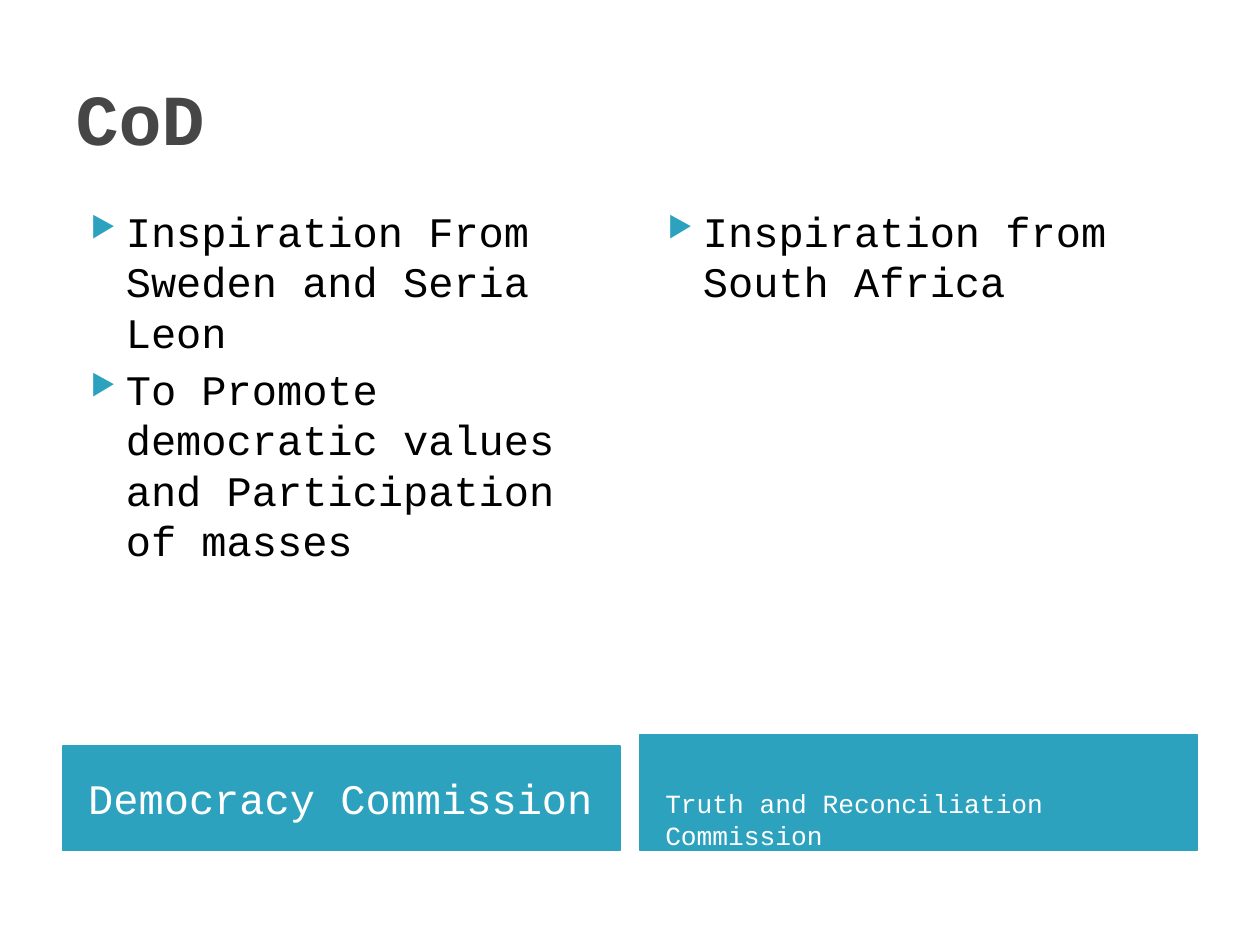
import pptx
import pptx.util
import pptx.dml.color
import pptx.enum.shapes
import pptx.enum.text
from lxml import etree

Inches, Pt = pptx.util.Inches, pptx.util.Pt
ANCHOR = pptx.enum.text.MSO_ANCHOR
LEFT = pptx.enum.text.PP_ALIGN.LEFT
COLORS = {"title": "464646", "text": "000000", "accent": "2DA2BF", "label": "FFFFFF"}
FONT = "Courier New"
COLUMNS = (0.5, 5.08)
COLUMN_W = 4.42


def rgb(name):
    return pptx.dml.color.RGBColor.from_string(COLORS[name])


def add_run(p, text, size, color, bold=False):
    p.alignment = LEFT
    r = p.add_run()
    r.text = text
    r.font.name = FONT
    r.font.size = Pt(size)
    r.font.bold = bold
    r.font.color.rgb = rgb(color)


def add_bullet(p):
    pPr = p._p.get_or_add_pPr()
    pPr.set("marL", str(Inches(0.4)))
    pPr.set("indent", str(Inches(-0.28)))
    ns = pptx.oxml.ns.qn
    color = etree.SubElement(pPr, ns("a:buClr"))
    etree.SubElement(color, ns("a:srgbClr"), val=COLORS["accent"])
    etree.SubElement(pPr, ns("a:buSzPct"), val="68000")
    etree.SubElement(pPr, ns("a:buChar"), char="▶")


def set_title(s, text):
    sp = s.shapes.title
    sp.left, sp.top = Inches(0.5), Inches(0.3)
    sp.width, sp.height = Inches(9), Inches(1.25)
    tf = sp.text_frame
    tf.vertical_anchor = ANCHOR.MIDDLE
    add_run(tf.paragraphs[0], text, 41, "title", bold=True)


def add_points(s, left, height, points):
    sp = s.shapes.add_textbox(Inches(left), Inches(1.58), Inches(COLUMN_W), Inches(height))
    tf = sp.text_frame
    tf.word_wrap = True
    for i, text in enumerate(points):
        p = tf.add_paragraph() if i else tf.paragraphs[0]
        add_bullet(p)
        if i:
            p.space_before = Pt(4)
        add_run(p, text, 24, "text")


def add_label(s, left, top, text, size, anchor, inset_top, inset_bottom):
    sp = s.shapes.add_shape(pptx.enum.shapes.MSO_SHAPE.RECTANGLE, Inches(left), Inches(top),
                            Inches(COLUMN_W), Inches(6.75 - top))
    sp.shadow.inherit = False
    sp.fill.solid()
    sp.fill.fore_color.rgb = rgb("accent")
    sp.line.color.rgb = rgb("accent")
    sp.line.width = Pt(0.75)
    tf = sp.text_frame
    tf.word_wrap = True
    tf.vertical_anchor = anchor
    tf.margin_left, tf.margin_right = Inches(0.2), Inches(0.1)
    tf.margin_top, tf.margin_bottom = Inches(inset_top), Inches(inset_bottom)
    add_run(tf.paragraphs[0], text, size, "label")


def main():
    prs = pptx.Presentation()
    prs.slide_width, prs.slide_height = Inches(10), Inches(7.5)
    s = prs.slides.add_slide(prs.slide_layouts[5])
    set_title(s, "CoD")

    # Column labels along the bottom
    add_label(s, COLUMNS[0], 5.92, "Democracy Commission", 24, ANCHOR.MIDDLE, 0.05, 0.05)
    add_label(s, COLUMNS[1], 5.83, "Truth and Reconciliation Commission", 15,
              ANCHOR.TOP, 0.42, 0)

    # Bulleted columns
    add_points(s, COLUMNS[0], 4.31, [
        "Inspiration From Sweden and Seria Leon",
        "To Promote democratic values and Participation of masses",
    ])
    add_points(s, COLUMNS[1], 3.42, ["Inspiration from South Africa"])

    prs.save("out.pptx")


if __name__ == "__main__":
    main()
